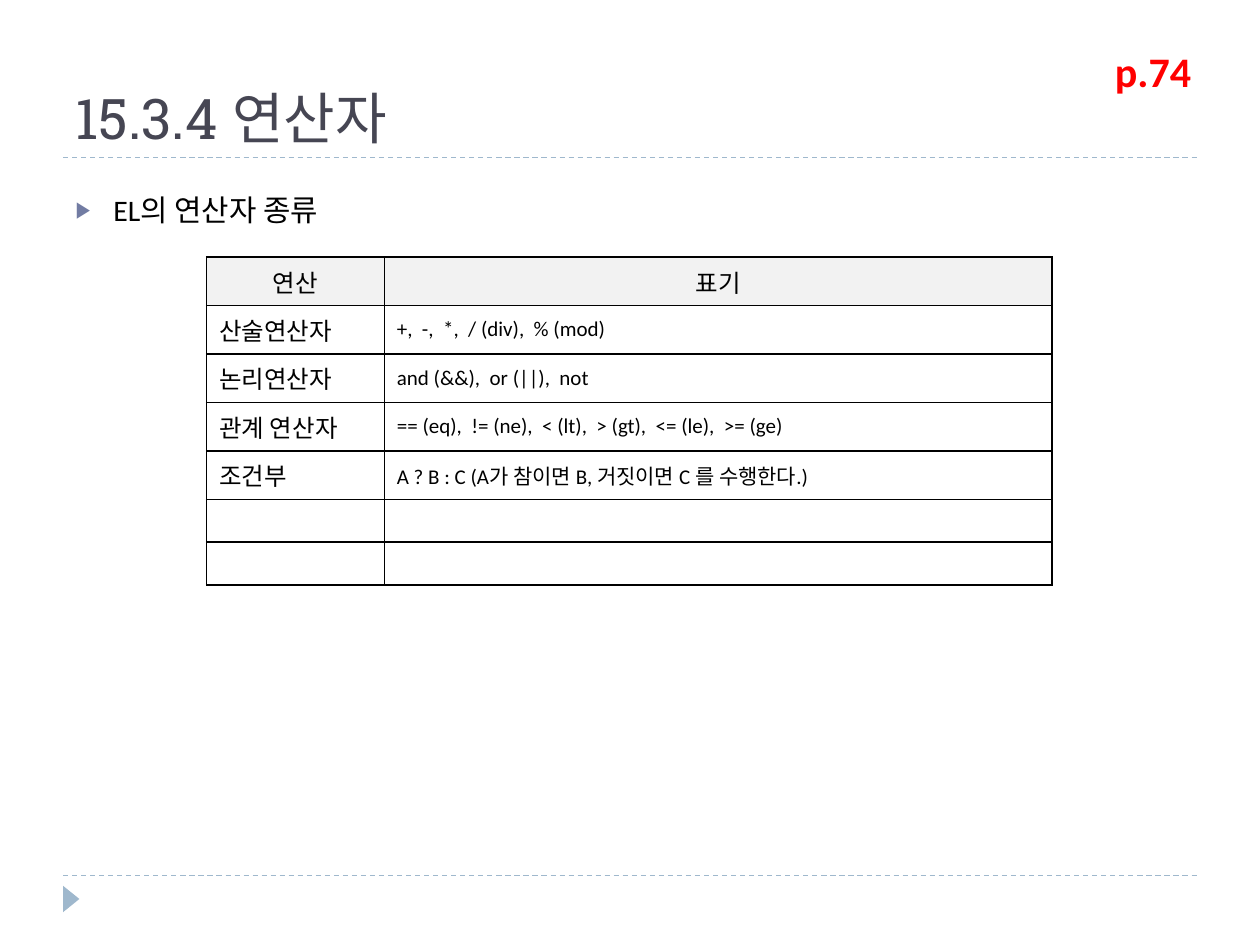
import pptx
import pptx.util
import pptx.dml.color
import pptx.enum.dml
import pptx.enum.shapes
import pptx.enum.text
import pptx.oxml
import pptx.oxml.ns
import lxml.etree

Inch = pptx.util.Inches
Pt = pptx.util.Pt
Align = pptx.enum.text.PP_ALIGN
Anchor = pptx.enum.text.MSO_ANCHOR
Fit = pptx.enum.text.MSO_AUTO_SIZE


def color(text):
    return pptx.dml.color.RGBColor.from_string(text)


def node(root, tag, **attrs):
    return lxml.etree.SubElement(root, pptx.oxml.ns.qn(tag), attrs)


class Page:
    """Hold the style and the current slide, and add elements to it."""

    face = "Calibri"
    ink = "000000"
    pale = "9FB8CD"

    def __init__(self, deck):
        self.slide = deck.slides.add_slide(deck.slide_layouts[1])

    def style(self, para, text, size, face=None, ink=None, bold=False, align=Align.LEFT):
        para.text = text
        para.alignment = align
        para.font.name = face or self.face
        para.font.size = Pt(size)
        para.font.bold = bold
        para.font.color.rgb = color(ink or self.ink)

    def place(self, shape, left, top, width, height):
        shape.left, shape.top = Inch(left), Inch(top)
        shape.width, shape.height = Inch(width), Inch(height)

    def title(self, box, text):
        shape = self.slide.shapes.title
        self.place(shape, *box)
        frame = shape.text_frame
        frame.auto_size = Fit.NONE
        frame.vertical_anchor = Anchor.BOTTOM
        self.style(frame.paragraphs[0], text, 32, "Roboto Slab", "464653")

    def body(self, box, text):
        shape = self.slide.placeholders[1]
        self.place(shape, *box)
        frame = shape.text_frame
        frame.auto_size = Fit.NONE
        para = frame.paragraphs[0]
        para.line_spacing = 1.5
        para.space_before = Pt(6)
        props = para._p.get_or_add_pPr()
        props.set("marL", str(Inch(0.3)))
        props.set("indent", str(Inch(-0.3)))
        node(node(props, "a:buClr"), "a:srgbClr", val="727CA3")
        node(props, "a:buSzPct", val="76000")
        node(props, "a:buChar", char="▶")
        self.style(para, text, 17)

    def rule(self, top):
        kind = pptx.enum.shapes.MSO_CONNECTOR.STRAIGHT
        line = self.slide.shapes.add_connector(kind, Inch(0.5), Inch(top), Inch(9.5), Inch(top))
        line.line.color.rgb = color(self.pale)
        line.line.width = Pt(0.75)
        line.line.dash_style = pptx.enum.dml.MSO_LINE.DASH
        node(line._element.spPr, "a:effectLst")

    def mark(self, box):
        kind = pptx.enum.shapes.MSO_SHAPE.ISOSCELES_TRIANGLE
        shape = self.slide.shapes.add_shape(kind, *map(Inch, box))
        shape.rotation = 90
        shape.shadow.inherit = False
        shape.fill.solid()
        shape.fill.fore_color.rgb = color(self.pale)
        shape.line.fill.background()

    def label(self, box, text):
        frame = self.slide.shapes.add_textbox(*map(Inch, box)).text_frame
        frame.word_wrap = True
        frame.auto_size = Fit.SHAPE_TO_FIT_TEXT
        self.style(frame.paragraphs[0], text, 24, ink="FF0000", bold=True)

    def border(self, cell):
        props = cell._tc.get_or_add_tcPr()
        for spot, side in enumerate(("a:lnL", "a:lnR", "a:lnT", "a:lnB")):
            line = pptx.oxml.parse_xml(
                f'<{side} {pptx.oxml.ns.nsdecls("a")} w="{Pt(1)}"><a:solidFill>'
                f'<a:srgbClr val="{self.ink}"/></a:solidFill></{side}>')
            props.insert(spot, line)

    def table(self, left, top, cols, rows):
        high = [0.385 if row[0] else 0.34 for row in rows]
        box = map(Inch, (left, top, sum(cols), sum(high)))
        grid = self.slide.shapes.add_table(len(rows), len(cols), *box).table
        for col, width in zip(grid.columns, cols):
            col.width = Inch(width)
        for r, row in enumerate(rows):
            grid.rows[r].height = Inch(high[r])
            for c, text in enumerate(row):
                cell = grid.cell(r, c)
                cell.vertical_anchor = Anchor.MIDDLE
                if r:
                    cell.fill.background()
                else:
                    cell.fill.solid()
                    cell.fill.fore_color.rgb = color("F2F2F2")
                size = 12 if r and c and text else 14
                align = Align.LEFT if r else Align.CENTER
                self.style(cell.text_frame.paragraphs[0], text, size, align=align)
                self.border(cell)


deck = pptx.Presentation()
deck.slide_width, deck.slide_height = Inch(10), Inch(7.5)
page = Page(deck)
for top in (6.95, 1.25):
    page.rule(top)
page.mark((0.46, 7.07, 0.21, 0.13))
page.title((0.5, 0.17, 9, 1.08), "15.3.4 연산자")
page.body((0.5, 1.33, 9, 5.4), "EL의 연산자 종류")
page.table(1.64, 2.04, (1.41, 5.3), [
    ("연산", "표기"),
    ("산술연산자", "+,  -,  *,  / (div),  % (mod)"),
    ("논리연산자", "and (&&),  or (||),  not"),
    ("관계 연산자", "== (eq),  != (ne),  < (lt),  > (gt),  <= (le),  >= (ge)"),
    ("조건부", "A ? B : C (A가 참이면 B, 거짓이면 C 를 수행한다.)"),
    ("", ""),
    ("", ""),
])
page.label((8.75, 0.31, 0.86, 0.5), "p.74")
deck.save("out.pptx")
